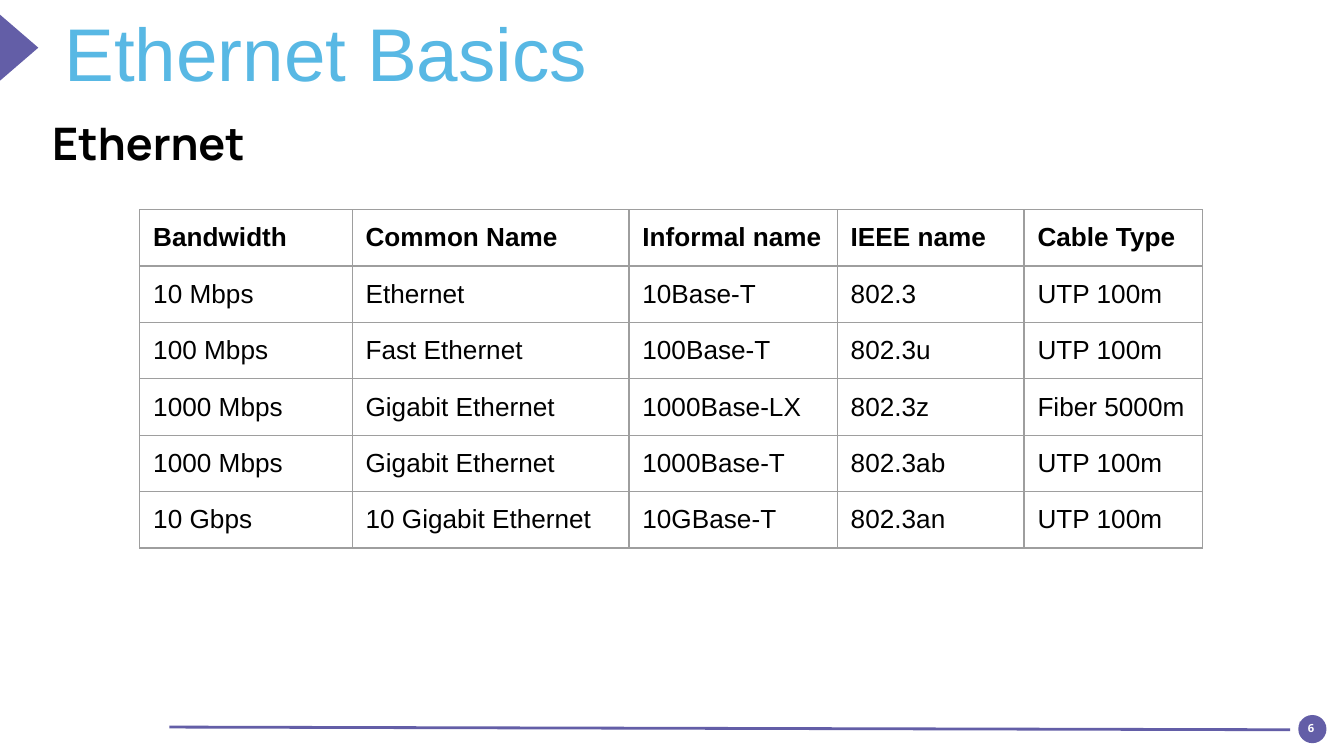
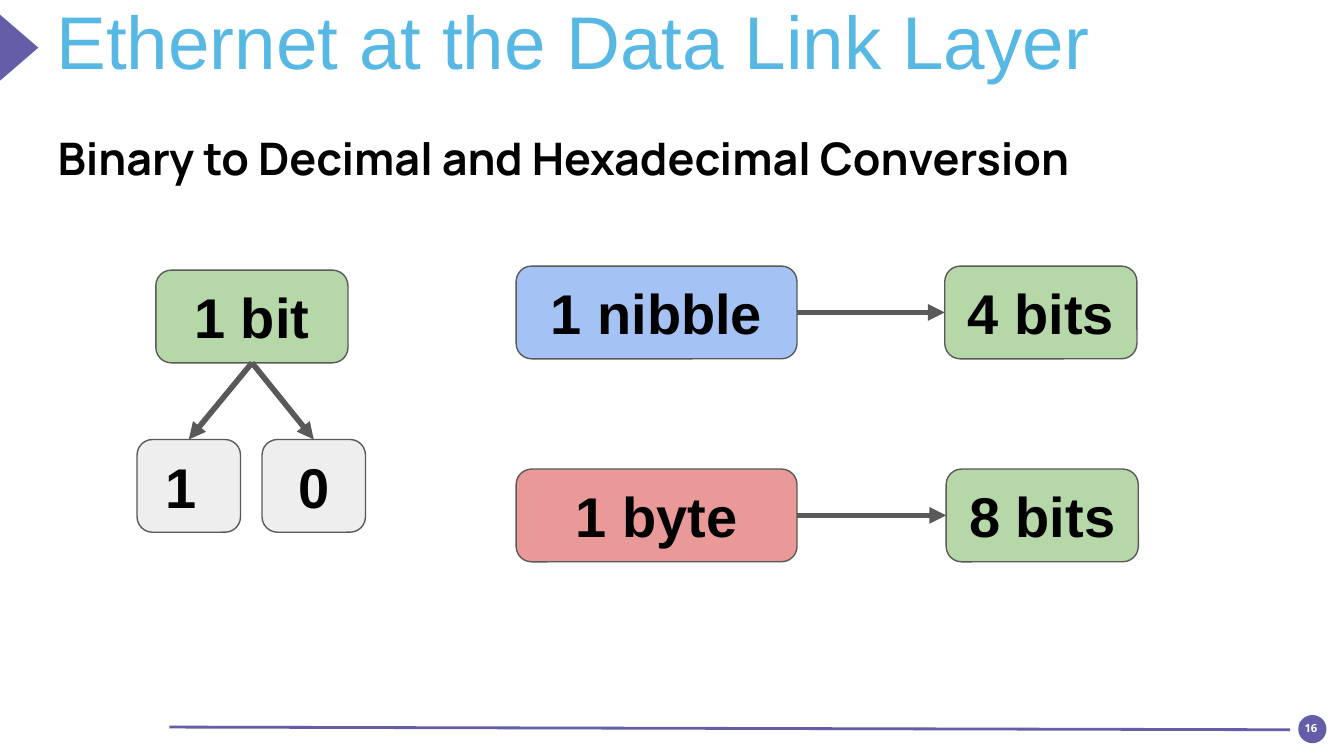
import pptx
import pptx.util
import pptx.dml.color
import pptx.enum.shapes
import pptx.enum.text
import pptx.oxml
import pptx.oxml.ns

Inches = pptx.util.Inches
Pt = pptx.util.Pt
RGBColor = pptx.dml.color.RGBColor
MSO_SHAPE = pptx.enum.shapes.MSO_SHAPE
MSO_CONNECTOR = pptx.enum.shapes.MSO_CONNECTOR
MSO_ANCHOR = pptx.enum.text.MSO_ANCHOR
PP_ALIGN = pptx.enum.text.PP_ALIGN

PURPLE = RGBColor(0x63, 0x5E, 0xA7)
SKY = RGBColor(0x58, 0xB8, 0xE4)
BLACK = RGBColor(0, 0, 0)
WHITE = RGBColor(0xFF, 0xFF, 0xFF)
GREEN = RGBColor(0xB6, 0xD7, 0xA8)
BLUE = RGBColor(0xA4, 0xC2, 0xF4)
RED = RGBColor(0xEA, 0x99, 0x99)
LIGHT_GRAY = RGBColor(0xEE, 0xEE, 0xEE)
DARK_GRAY = RGBColor(0x59, 0x59, 0x59)
GRID_GRAY = RGBColor(0x9E, 0x9E, 0x9E)


def write(frame, text, font, size, color, bold, inset, anchor, align=PP_ALIGN.LEFT):
    frame.word_wrap = True
    frame.vertical_anchor = anchor
    frame.margin_left = frame.margin_right = Inches(inset)
    frame.margin_top = frame.margin_bottom = Inches(inset)
    paragraph = frame.paragraphs[0]
    paragraph.text = text
    paragraph.alignment = align
    paragraph.font.name = font
    paragraph.font.size = Pt(size)
    paragraph.font.bold = bold
    paragraph.font.color.rgb = color


def style_line(connector, color, width, arrow=False):
    connector.line.color.rgb = color
    connector.line.width = Pt(width)
    if arrow:
        tail = pptx.oxml.parse_xml(
            f'<a:tailEnd {pptx.oxml.ns.nsdecls("a")} type="triangle"/>')
        connector.line._get_or_add_ln().append(tail)
    effects = pptx.oxml.parse_xml(f'<a:effectLst {pptx.oxml.ns.nsdecls("a")}/>')
    connector._element.spPr.append(effects)


presentation = pptx.Presentation()
presentation.slide_width = Inches(10)
presentation.slide_height = Inches(10 * 9 / 16)

pages = [
    ("Ethernet Basics", (0.48, 0.04, 8.73, 0.69), MSO_ANCHOR.MIDDLE, 1.0,
     "Ethernet", (0.29, 0.76, 9.42, 2.12), "6"),
    ("Ethernet at the Data Link Layer", (0.42, 0.09, 8.63, 0.69), MSO_ANCHOR.TOP, 0.8,
     "Binary to Decimal and Hexadecimal Conversion", (0.33, 0.87, 9.17, 0.64), "16"),
]
decorations = [
    (MSO_SHAPE.OVAL, (9.66, 5.32, 0.21, 0.21), 0),
    (MSO_SHAPE.ISOSCELES_TRIANGLE, (-0.11, 0.21, 0.5, 0.29), 90),
    (MSO_SHAPE.RECTANGLE, (9.67, 5.37, 0.17, 0.1), 0),
]

for title, title_area, anchor, spacing, heading, heading_area, number in pages:
    slide = presentation.slides.add_slide(presentation.slide_layouts[5])
    for kind, area, rotation in decorations:
        decoration = slide.shapes.add_shape(kind, *map(Inches, area))
        decoration.rotation = rotation
        decoration.shadow.inherit = False
        decoration.fill.solid()
        decoration.fill.fore_color.rgb = PURPLE
        decoration.line.fill.background()
    write(decoration.text_frame, number, "Open Sans", 6, WHITE, True, 0,
          MSO_ANCHOR.TOP, PP_ALIGN.CENTER)
    footer_rule = slide.shapes.add_connector(
        MSO_CONNECTOR.STRAIGHT, Inches(9.6), Inches(5.43), Inches(1.26), Inches(5.41))
    style_line(footer_rule, PURPLE, 1.5)

    slide_title = slide.shapes.title
    slide_title.left, slide_title.top, slide_title.width, slide_title.height = map(
        Inches, title_area)
    write(slide_title.text_frame, title, "Arial", 40, SKY, False, 0, anchor)
    slide_title.text_frame.paragraphs[0].line_spacing = spacing
    subheading = slide.shapes.add_textbox(*map(Inches, heading_area))
    write(subheading.text_frame, heading, "Manrope", 24, BLACK, True, 0.1, MSO_ANCHOR.TOP)

basics, data_link = presentation.slides

standards = [
    ("Bandwidth", "Common Name", "Informal name", "IEEE name", "Cable Type"),
    ("10 Mbps", "Ethernet", "10Base-T", "802.3", "UTP 100m"),
    ("100 Mbps", "Fast Ethernet", "100Base-T", "802.3u", "UTP 100m"),
    ("1000 Mbps", "Gigabit Ethernet", "1000Base-LX", "802.3z", "Fiber 5000m"),
    ("1000 Mbps", "Gigabit Ethernet", "1000Base-T", "802.3ab", "UTP 100m"),
    ("10 Gbps", "10 Gigabit Ethernet", "10GBase-T", "802.3an", "UTP 100m"),
]
column_widths = (1.58, 2.06, 1.55, 1.39, 1.33)
row_height = 0.42
standards_table = basics.shapes.add_table(
    len(standards), len(column_widths), Inches(1.04), Inches(1.56),
    Inches(sum(column_widths)), Inches(row_height * len(standards))).table
standards_table.first_row = False
standards_table.horz_banding = False
for column, width in zip(standards_table.columns, column_widths):
    column.width = Inches(width)
for row_index, (row, values) in enumerate(zip(standards_table.rows, standards)):
    row.height = Inches(row_height)
    for cell, value in zip(row.cells, values):
        write(cell.text_frame, value, "Arial", 14, BLACK, row_index == 0, 0.1, MSO_ANCHOR.TOP)
        cell.margin_left = cell.margin_right = Inches(0.1)
        cell.margin_top = Inches(0.1)
        cell.margin_bottom = Inches(0.08)
        cell.vertical_anchor = MSO_ANCHOR.TOP
        properties = cell._tc.get_or_add_tcPr()
        for side in ("lnL", "lnR", "lnT", "lnB"):
            properties.append(pptx.oxml.parse_xml(
                f'<a:{side} {pptx.oxml.ns.nsdecls("a")} w="{Pt(0.75)}"><a:solidFill>'
                f'<a:srgbClr val="{GRID_GRAY}"/></a:solidFill></a:{side}>'))
        cell.fill.background()

units = [
    ("1 bit", 1.16, 2.01, 1.43, GREEN),
    ("0", 1.95, 3.27, 0.77, LIGHT_GRAY),
    ("1 ", 1.02, 3.27, 0.77, LIGHT_GRAY),
    ("1 nibble", 3.84, 1.98, 2.09, BLUE),
    ("1 byte", 3.84, 3.49, 2.09, RED),
    ("4 bits", 7.03, 1.98, 1.43, GREEN),
    ("8 bits", 7.04, 3.49, 1.43, GREEN),
]
unit_boxes = {}
for label, left, top, width, color in units:
    unit = data_link.shapes.add_shape(
        MSO_SHAPE.ROUNDED_RECTANGLE, Inches(left), Inches(top), Inches(width), Inches(0.69))
    unit.shadow.inherit = False
    unit.fill.solid()
    unit.fill.fore_color.rgb = color
    unit.line.color.rgb = DARK_GRAY
    unit.line.width = Pt(0.75)
    write(unit.text_frame, label, "Arial", 30, BLACK, True, 0.1,
          MSO_ANCHOR.MIDDLE, PP_ALIGN.CENTER)
    unit_boxes[label] = unit

TOP, LEFT, BOTTOM, RIGHT = range(4)
conversions = [
    ("1 bit", BOTTOM, "1 ", TOP),
    ("1 bit", BOTTOM, "0", TOP),
    ("1 nibble", RIGHT, "4 bits", LEFT),
    ("1 byte", RIGHT, "8 bits", LEFT),
]
for source, source_side, target, target_side in conversions:
    arrow = data_link.shapes.add_connector(MSO_CONNECTOR.STRAIGHT, 0, 0, 0, 0)
    arrow.begin_connect(unit_boxes[source], source_side)
    arrow.end_connect(unit_boxes[target], target_side)
    style_line(arrow, DARK_GRAY, 3, arrow=True)

presentation.save("out.pptx")
